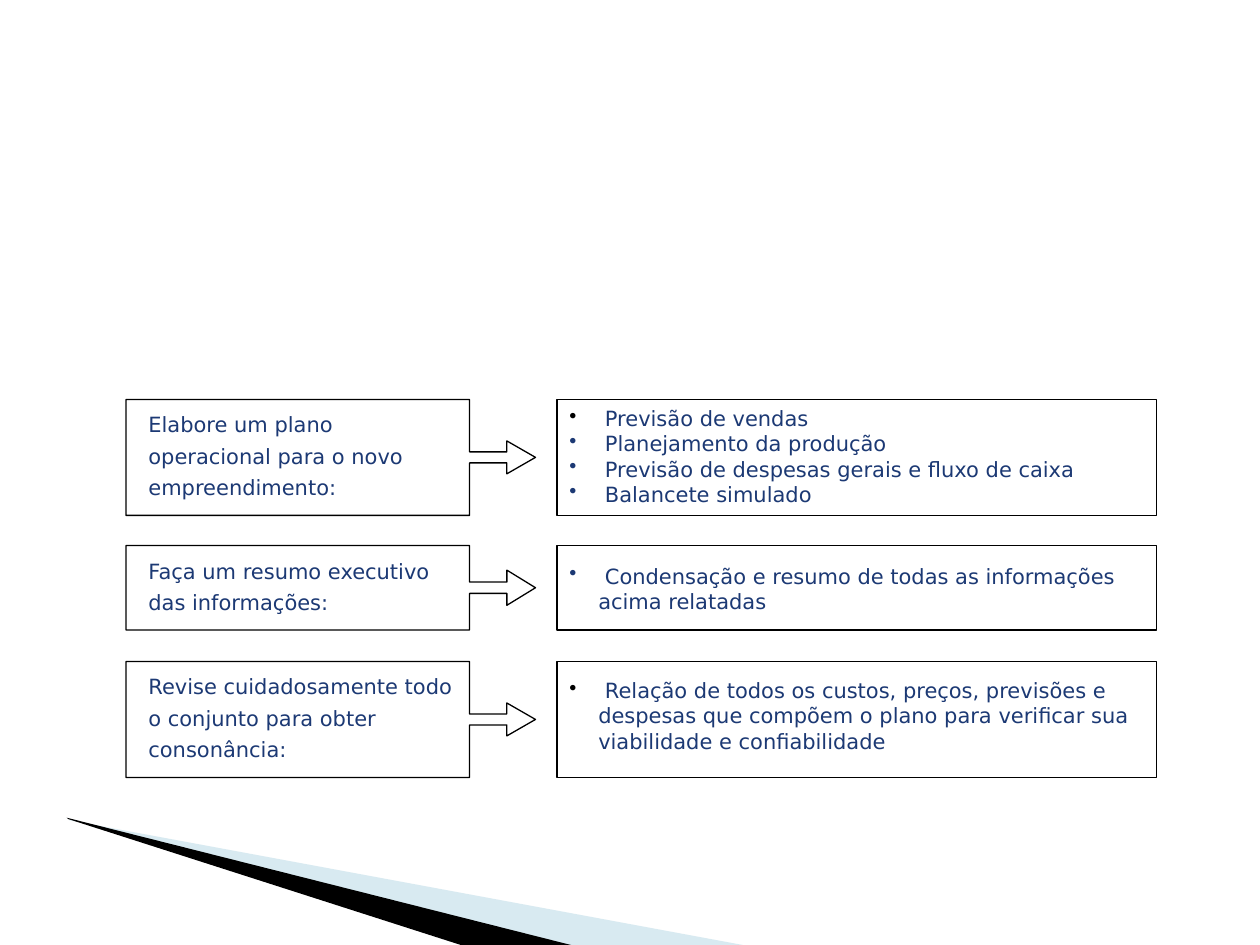
import pptx
import pptx.dml.color
import pptx.enum.shapes
import pptx.enum.text
import pptx.oxml.ns
import pptx.util
from lxml import etree

Inches = pptx.util.Inches
Pt = pptx.util.Pt
RGBColor = pptx.dml.color.RGBColor
MSO_SHAPE = pptx.enum.shapes.MSO_SHAPE

THEME = {
    "text": "1C3974",
    "line": "000000",
    "band_light": "9FCBDC",
    "band_dark": "000000",
    "font": "DejaVu Sans",
    "size": 12,
    "line_width": 0.75,
}

SHORT_ARROW = (0.135, 0.208, 0.339, 0.839)
TALL_ARROW = (0.095, 0.142, 0.247, 0.839)

# details: (bullet colour, text)
STEPS = [
    {
        "top": 3.17, "height": 0.92, "arrow": TALL_ARROW, "detail_inset": 0,
        "task": "Elabore um plano operacional para o novo empreendimento:",
        "details": [
            ("line", " Previsão de vendas"),
            ("text", " Planejamento da produção"),
            ("text", " Previsão de despesas gerais e fluxo de caixa"),
            ("text", " Balancete simulado"),
        ],
    },
    {
        "top": 4.33, "height": 0.67, "arrow": SHORT_ARROW, "detail_inset": 0.09,
        "task": "Faça um resumo executivo das informações:",
        "details": [
            ("text", " Condensação e resumo de todas as informações acima relatadas"),
        ],
    },
    {
        "top": 5.25, "height": 0.92, "arrow": TALL_ARROW, "detail_inset": 0.08,
        "task": "Revise cuidadosamente todo o conjunto para obter consonância:",
        "details": [
            ("line", " Relação de todos os custos, preços, previsões e despesas que "
                     "compõem o plano para verificar sua viabilidade e confiabilidade"),
        ],
    },
]

# colour, opacity in percent, corners
BANDS = [
    ("band_light", 40, [(0.55, 6.51), (5.95, 7.51), (4.56, 7.51), (0.55, 6.5)]),
    ("band_dark", 100, [(0.53, 6.49), (4.57, 7.51), (3.72, 7.52), (0.54, 6.5)]),
]

CALLOUT_LEFT, CALLOUT_WIDTH = 1, 3.25
TASK_LEFT, TASK_WIDTH = 1.08, 2.67
DETAIL_LEFT, DETAIL_WIDTH = 4.42, 4.76
DETAIL_TEXT_WIDTH = 4.67
BULLET_INDENT = 0.23
TASK_SPACING = 1.25


def color(name):
    return RGBColor.from_string(THEME[name])


def set_all(target, values):
    for name, value in values.items():
        setattr(target, name, value)


def add_band(slide, color_name, opacity, corners):
    builder = slide.shapes.build_freeform(
        Inches(corners[0][0]), Inches(corners[0][1]), scale=1.0)
    builder.add_line_segments([(Inches(x), Inches(y)) for x, y in corners[1:]], close=True)
    band = builder.convert_to_shape()
    band.shadow.inherit = False
    band.line.fill.background()
    band.fill.solid()
    band.fill.fore_color.rgb = color(color_name)
    if opacity < 100:
        tint = band.fill._xPr.find(".//" + pptx.oxml.ns.qn("a:srgbClr"))
        etree.SubElement(tint, pptx.oxml.ns.qn("a:alpha"), val=str(opacity * 1000))


def add_outline(slide, preset, left, top, width, height):
    outline = slide.shapes.add_shape(
        preset, Inches(left), Inches(top), Inches(width), Inches(height))
    outline.shadow.inherit = False
    outline.fill.background()
    outline.line.color.rgb = color("line")
    outline.line.width = Pt(THEME["line_width"])
    return outline


def add_bullet(paragraph, color_name):
    properties = paragraph._p.get_or_add_pPr()
    properties.set("marL", str(Inches(BULLET_INDENT)))
    properties.set("indent", str(-Inches(BULLET_INDENT)))
    bullet_color = etree.SubElement(properties, pptx.oxml.ns.qn("a:buClr"))
    etree.SubElement(bullet_color, pptx.oxml.ns.qn("a:srgbClr"), val=THEME[color_name])
    etree.SubElement(properties, pptx.oxml.ns.qn("a:buChar"), char="•")


def add_text(slide, left, top, width, height, lines, spacing=None):
    """Add a text box; lines holds (bullet colour or None, text) pairs."""
    box = slide.shapes.add_textbox(Inches(left), Inches(top), Inches(width), Inches(height))
    frame = box.text_frame
    set_all(frame, {
        "word_wrap": True,
        "auto_size": pptx.enum.text.MSO_AUTO_SIZE.SHAPE_TO_FIT_TEXT,
    })
    for index, (bullet, text) in enumerate(lines):
        paragraph = frame.add_paragraph() if index else frame.paragraphs[0]
        if bullet:
            add_bullet(paragraph, bullet)
        if spacing:
            paragraph.line_spacing = spacing
        run = paragraph.add_run()
        run.text = text
        set_all(run.font, {"name": THEME["font"], "size": Pt(THEME["size"])})
        run.font.color.rgb = color("text")


def add_step(slide, step):
    top, height = step["top"], step["height"]
    inset = step["detail_inset"]
    add_outline(slide, MSO_SHAPE.RECTANGLE, DETAIL_LEFT, top, DETAIL_WIDTH, height)
    add_text(slide, DETAIL_LEFT, top + inset, DETAIL_TEXT_WIDTH, height - 2 * inset,
             step["details"])
    callout = add_outline(slide, MSO_SHAPE.RIGHT_ARROW_CALLOUT,
                          CALLOUT_LEFT, top, CALLOUT_WIDTH, height)
    for index, value in enumerate(step["arrow"]):
        callout.adjustments[index] = value
    add_text(slide, TASK_LEFT, top, TASK_WIDTH, height, [(None, step["task"])], TASK_SPACING)


def main():
    presentation = pptx.Presentation()
    set_all(presentation, {"slide_width": Inches(10), "slide_height": Inches(7.5)})
    slide = presentation.slides.add_slide(presentation.slide_layouts[6])
    for band in BANDS:
        add_band(slide, *band)
    for step in STEPS:
        add_step(slide, step)
    presentation.save("out.pptx")


if __name__ == "__main__":
    main()
